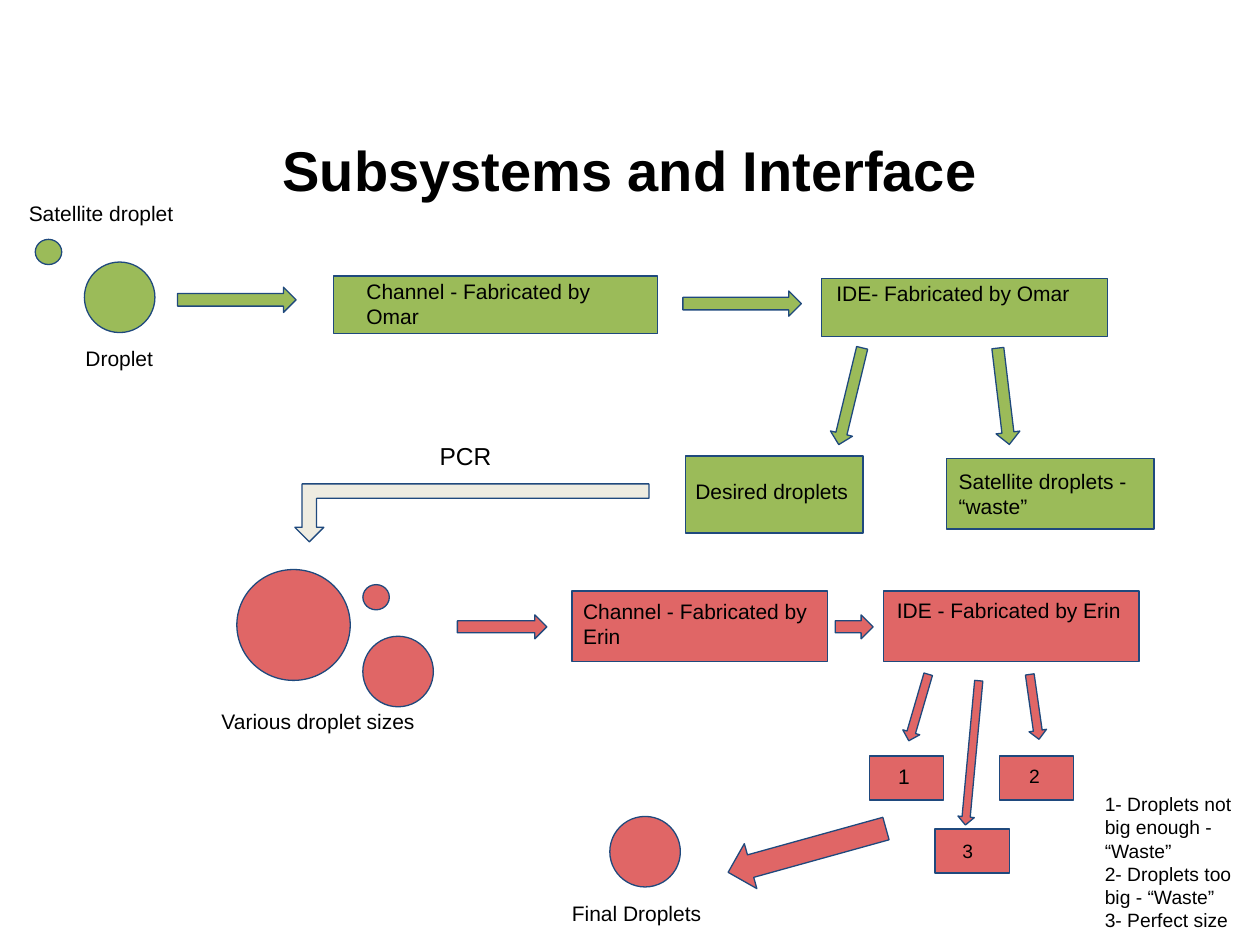
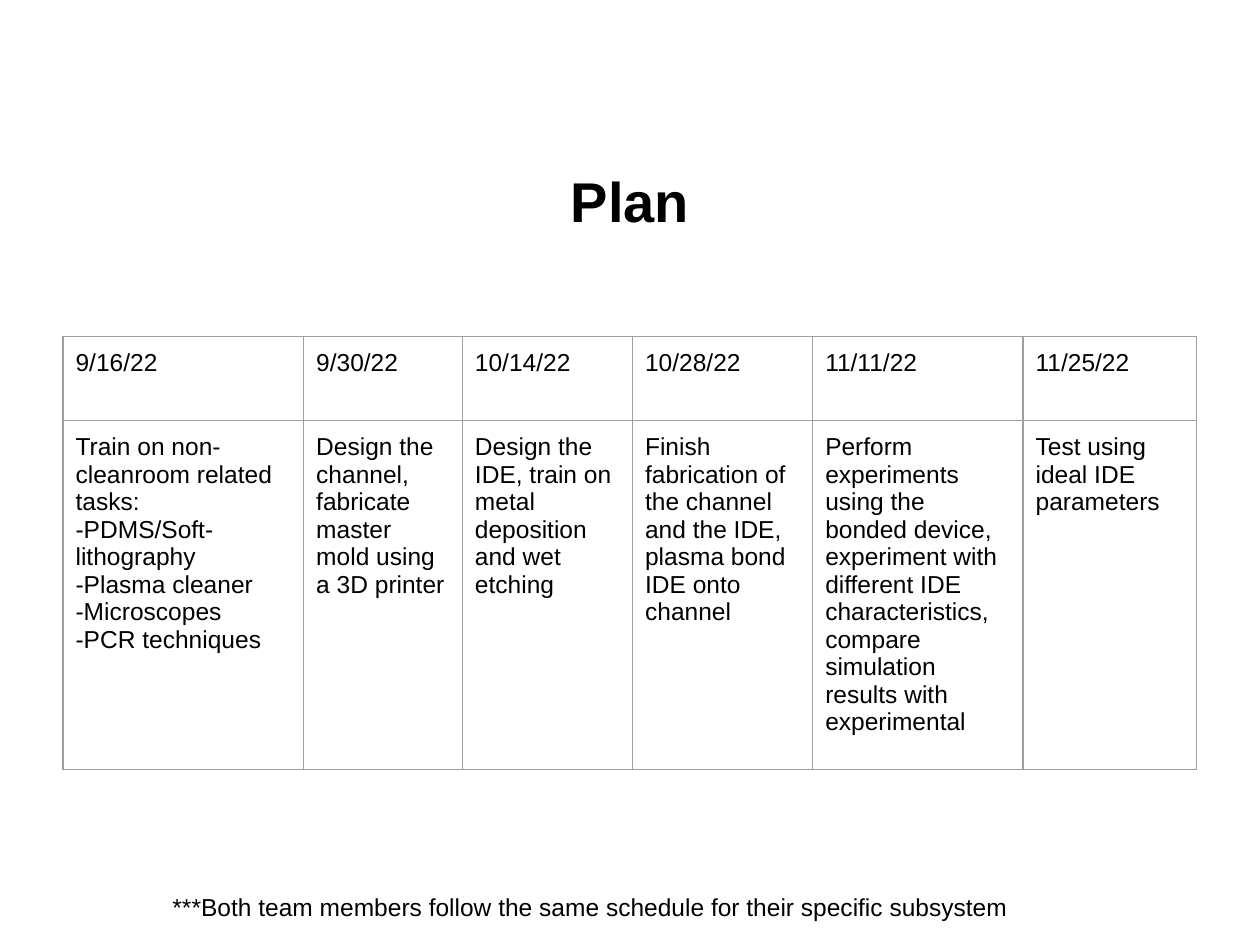
from lxml.etree import SubElement
from pptx import Presentation
from pptx.dml.color import RGBColor
from pptx.enum.shapes import MSO_SHAPE
from pptx.enum.text import MSO_ANCHOR, PP_ALIGN
from pptx.oxml.ns import qn
from pptx.util import Emu, Pt

PX = 9144  # EMU per px, 100 px to the inch
FONT = "Arial"
COLORS = {
    "text": "000000",
    "outline": "1F497D",
    "green": "9BBB59",
    "red": "E06666",
    "cream": "EEECE1",
    "grid": "9E9E9E",
}


def px(n):
    return Emu(n * PX)


def rgb(name):
    return RGBColor.from_string(COLORS[name])


class Deck:
    """Holds the presentation style and the slide being filled."""

    def __init__(self):
        self.prs = Presentation()
        self.prs.slide_width, self.prs.slide_height = px(1000), px(750)
        self.s = None

    def slide(self, title, title_top):
        self.s = self.prs.slides.add_slide(self.prs.slide_layouts[6])
        tf = self.text(title, 50, title_top, 900, 88, size=32, bold=True, inset_y=5)
        tf.vertical_anchor = MSO_ANCHOR.MIDDLE
        tf.paragraphs[0].alignment = PP_ALIGN.CENTER

    def style(self, tf, size, bold=False):
        for p in tf.paragraphs:
            for r in p.runs:
                r.font.name = FONT
                r.font.size = Pt(size)
                r.font.bold = bold
                r.font.color.rgb = rgb("text")

    def inset(self, box, x=10, y=10):
        box.margin_left = box.margin_right = px(x)
        box.margin_top = box.margin_bottom = px(y)

    def text(self, text, x, y, w, h, size=12, bold=False, inset_y=10):
        tf = self.s.shapes.add_textbox(px(x), px(y), px(w), px(h)).text_frame
        tf.word_wrap = True
        self.inset(tf, y=inset_y)
        tf.text = text
        self.style(tf, size, bold)
        return tf

    def shape(self, kind, color, x, y, w, h, rotation=0):
        sp = self.s.shapes.add_shape(kind, px(x), px(y), px(w), px(h))
        sp.shadow.inherit = False
        sp.rotation = rotation
        sp.fill.solid()
        sp.fill.fore_color.rgb = rgb(color)
        sp.line.color.rgb = rgb("outline")
        sp.line.width = Pt(0.75)

    def border(self, cell):
        tcPr = cell._tc.get_or_add_tcPr()
        for side in ("a:lnL", "a:lnR", "a:lnT", "a:lnB"):
            ln = SubElement(tcPr, qn(side), w=str(Pt(0.75)))
            fill = SubElement(ln, qn("a:solidFill"))
            SubElement(fill, qn("a:srgbClr"), val=COLORS["grid"])

    def table(self, rows, x, y, widths, heights, size=14):
        frame = self.s.shapes.add_table(len(rows), len(widths), px(x), px(y),
                                        px(sum(widths)), px(sum(heights)))
        table = frame.table
        table.first_row = table.horz_banding = False
        for column, width in zip(table.columns, widths):
            column.width = px(width)
        for row, height, texts in zip(table.rows, heights, rows):
            row.height = px(height)
            for cell, text in zip(row.cells, texts):
                self.border(cell)
                cell.fill.background()
                self.inset(cell)
                cell.text = text
                self.style(cell.text_frame, size)


def subsystems(deck):
    deck.slide("Subsystems and Interface", 90)

    arrows = {
        MSO_SHAPE.RIGHT_ARROW: [
            ("green", 141, 228, 94, 20),
            ("green", 542, 231, 94, 20),
            ("red", 363, 488, 71, 19),
            ("red", 663, 488, 30, 19),
        ],
        MSO_SHAPE.DOWN_ARROW: [
            ("green", 666, 275, 18, 79, 13.6),
            ("green", 787, 276, 19, 77, -6.8),
            ("red", 722, 534, 14, 55, 16.3),
            ("red", 814, 535, 14, 52, -8.1),
            ("red", 765, 540, 13, 115, 5.3),
            ("red", 622, 610, 37, 130, 74.5),
        ],
        MSO_SHAPE.BENT_UP_ARROW: [("cream", 234, 384, 281, 46, 180)],
    }
    for kind, items in arrows.items():
        for item in items:
            deck.shape(kind, *item)

    droplets = [
        ("green", 28, 190, 21, 20),
        ("green", 67, 208, 56, 56),
        ("red", 188, 452, 90, 88),
        ("red", 288, 464, 21, 20),
        ("red", 288, 505, 56, 56),
        ("red", 484, 648, 56, 56),
    ]
    for droplet in droplets:
        deck.shape(MSO_SHAPE.OVAL, *droplet)

    # Each stage: colour, box, then its label with the label's own frame
    stages = [
        ("green", (265, 219, 257, 46), "Channel - Fabricated by Omar", (281, 211, 234, 61)),
        ("green", (652, 221, 227, 46), "IDE- Fabricated by Omar", (654, 213, 213, 40)),
        ("green", (544, 362, 141, 61), "Desired droplets", (542, 370, 169, 40)),
        ("green", (751, 364, 165, 56), "Satellite droplets - “waste”", (751, 362, 188, 61)),
        ("red", (454, 469, 203, 56), "Channel - Fabricated by Erin", (453, 465, 203, 61)),
        ("red", (701, 469, 203, 56), "IDE - Fabricated by Erin", (702, 464, 227, 40)),
        ("red", (690, 600, 59, 35), "1", (703, 596, 33, 40, 12)),
        ("red", (793, 600, 59, 35), "2", (807, 597, 46, 39, 11)),
        ("red", (742, 658, 59, 35), "3", (754, 657, 46, 39, 11)),
    ]
    for color, box, label, frame in stages:
        deck.shape(MSO_SHAPE.RECTANGLE, color, *box)
        deck.text(label, *frame)

    captions = [
        ("Satellite droplet", 13, 149, 165, 40),
        ("Droplet", 58, 264, 137, 40),
        ("PCR", 339, 340, 71, 44, 14),
        ("Various droplet sizes", 166, 552, 203, 40),
        ("Final Droplets", 444, 705, 137, 40),
        ("1- Droplets not big enough - “Waste”\n2- Droplets too big - “Waste”\n"
         "3- Perfect size", 867, 619, 133, 131, 11),
    ]
    for caption in captions:
        deck.text(*caption)


def plan(deck):
    deck.slide("Plan", 115)
    schedule = [
        ("9/16/22", "Train on non-cleanroom related tasks:\n-PDMS/Soft-lithography\n"
                    "-Plasma cleaner\n-Microscopes\n-PCR techniques"),
        ("9/30/22", "Design the channel, fabricate master mold using a 3D printer"),
        ("10/14/22", "Design the IDE, train on metal deposition and wet etching"),
        ("10/28/22", "Finish fabrication of the channel and the IDE, "
                     "plasma bond IDE onto channel"),
        ("11/11/22", "Perform experiments using the bonded device, experiment with "
                     "different IDE characteristics, compare simulation results "
                     "with experimental"),
        ("11/25/22", "Test using ideal IDE parameters"),
    ]
    deck.table(list(zip(*schedule)), 50, 267,
               widths=[191, 126, 135, 143, 167, 138], heights=[67, 262])
    deck.text("***Both team members follow the same schedule for their specific subsystem",
              127, 698, 795, 44, size=14)


def main():
    deck = Deck()
    subsystems(deck)
    plan(deck)
    deck.prs.save("out.pptx")


if __name__ == "__main__":
    main()
